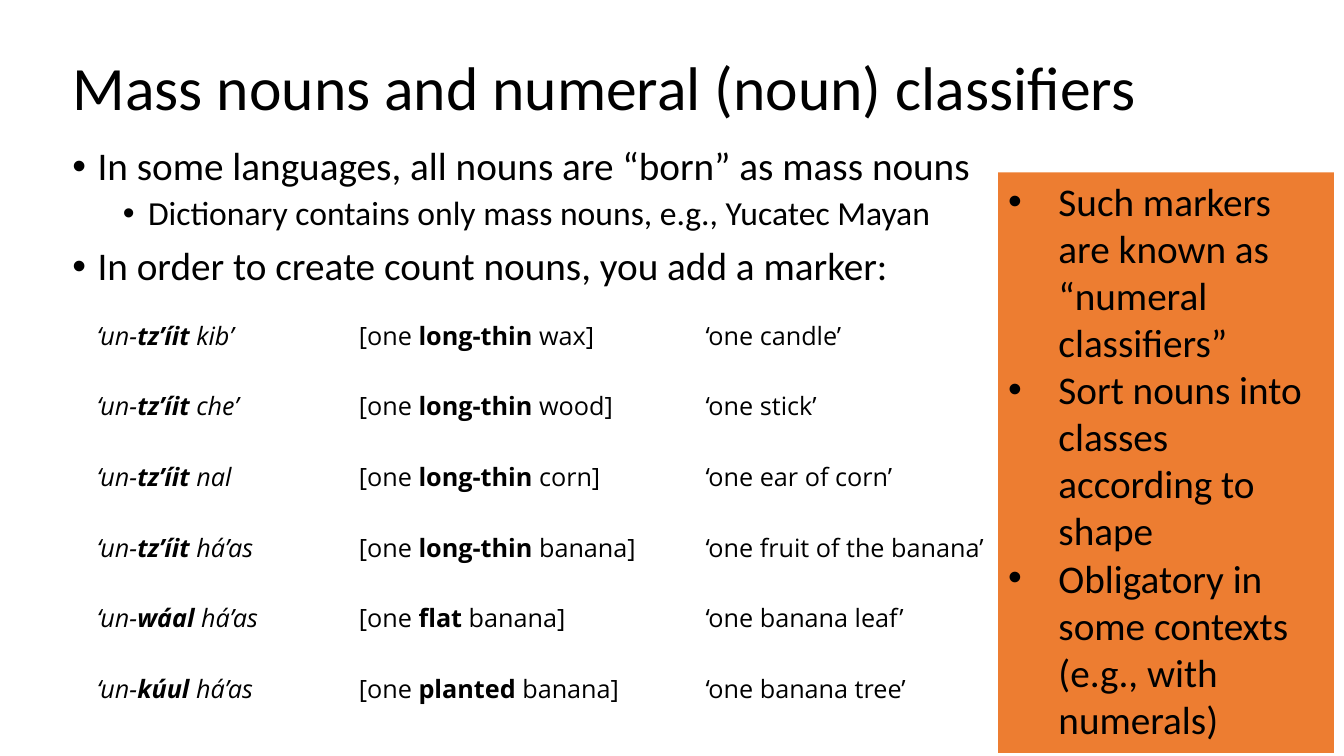
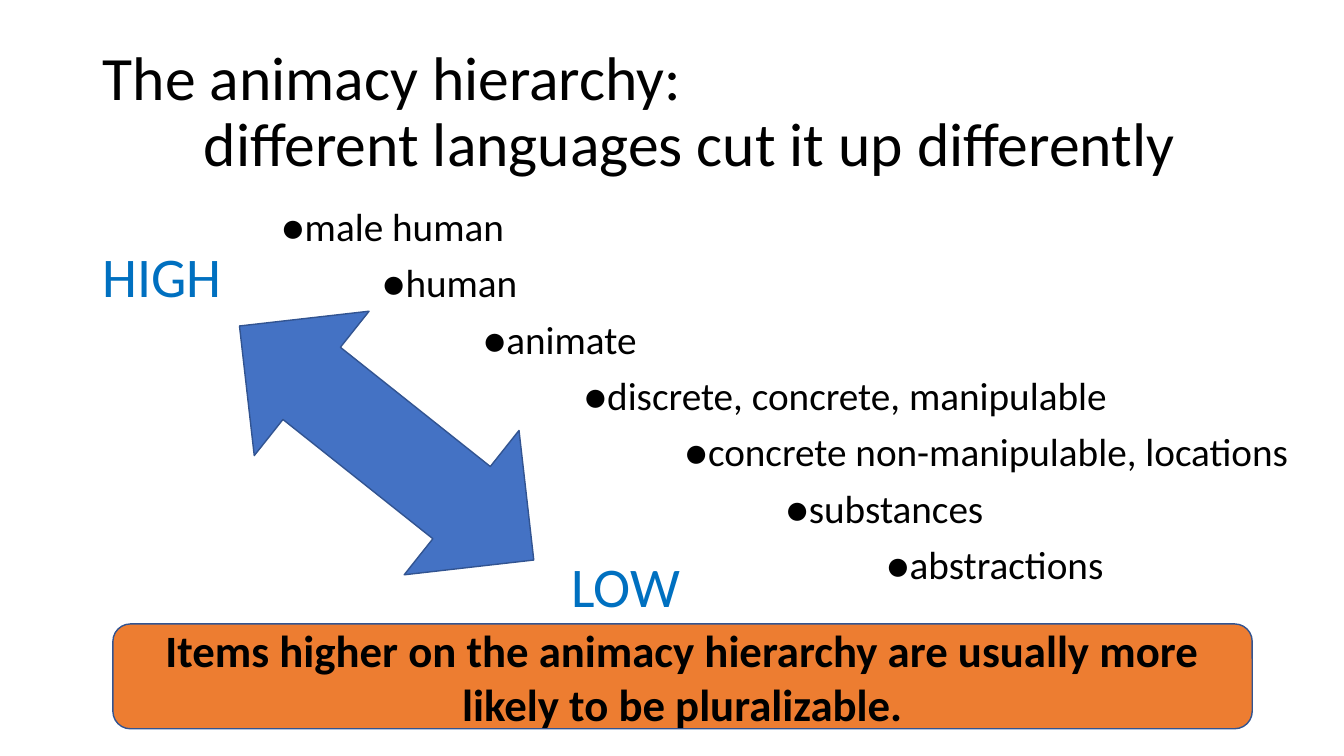
"""Build two slides on noun classifiers and the animacy hierarchy."""
from dataclasses import dataclass
from typing import NamedTuple

from lxml import etree
from pptx import Presentation
from pptx.dml.color import RGBColor
from pptx.enum.shapes import MSO_SHAPE
from pptx.enum.text import MSO_ANCHOR, MSO_AUTO_SIZE, PP_ALIGN
from pptx.oxml.ns import qn
from pptx.util import Emu, Pt

RECT, ROUND_RECT = MSO_SHAPE.RECTANGLE, MSO_SHAPE.ROUNDED_RECTANGLE
ARROW = MSO_SHAPE.UP_DOWN_ARROW
TOP, MIDDLE = MSO_ANCHOR.TOP, MSO_ANCHOR.MIDDLE
LEFT, CENTER = PP_ALIGN.LEFT, PP_ALIGN.CENTER
NO_FIT = MSO_AUTO_SIZE.NONE

EMU_PER_PX = 9144
SLIDE_W, SLIDE_H = 1333, 750
TITLE_ONLY = 5
BLACK, ORANGE, BLUE, OUTLINE, LABEL = "000000", "ED7D31", "4472C4", "325491", "0070C0"
BODY_FONT, TABLE_FONT = "Calibri", "Open Sans"
TITLE_W, TITLE_H = 1150, 145
STEP = 100


class Box(NamedTuple):
    """Left, top, width and height in px."""
    x: int
    y: int
    w: int
    h: int


@dataclass(frozen=True)
class Para:
    """One paragraph with its indents, spacing and bullet."""
    text: str
    size: int = 28
    color: str = BLACK
    bold: bool = False
    align: PP_ALIGN = LEFT
    margin: int = 0
    hang: int = 0
    bullet: bool = False
    line_spacing: float = 1.0
    before: int = 0


@dataclass(frozen=True)
class Example:
    """A Mayan phrase with its marker, gloss and translation."""
    marker: str
    noun: str
    shape: str
    gloss: str
    meaning: str


EXAMPLES = [
    Example("tz’íit", "kib’", "long-thin", "wax", "candle"),
    Example("tz’íit", "che’", "long-thin", "wood", "stick"),
    Example("tz’íit", "nal", "long-thin", "corn", "ear of corn"),
    Example("tz’íit", "há’as", "long-thin", "banana", "fruit of the banana"),
    Example("wáal", "há’as", "flat", "banana", "banana leaf"),
    Example("kúul", "há’as", "planted", "banana", "banana tree"),
]
TABLE_BOX = Box(89, 316, 906, 420)
COLUMN_WIDTHS = (260, 344, 302)
BODY_POINTS = [
    ("In some languages, all nouns are “born” as mass nouns", 0),
    ("Dictionary contains only mass nouns, e.g., Yucatec Mayan", 1),
    ("In order to create count nouns, you add a marker:", 0),
]
MARKER_FACTS = [
    "Such markers are known as “numeral classifiers”",
    "Sort nouns into classes according to shape",
    "Obligatory in some contexts (e.g., with numerals)",
]
HIERARCHY = [
    "male human",
    "human",
    "animate",
    "discrete, concrete, manipulable",
    "concrete non-manipulable, locations",
    "substances",
    "abstractions",
]
END_LABELS = {"HIGH": Box(92, 235, 177, 77), "LOW": Box(557, 542, 177, 77)}


def px(n: int) -> Emu:
    """Turn px into EMU."""
    return Emu(n * EMU_PER_PX)


def rgb(color: str) -> RGBColor:
    """Turn a hex string into a colour."""
    return RGBColor.from_string(color)


def set_attrs(obj, values: dict) -> None:
    """Set each named attribute on an object."""
    for name, value in values.items():
        setattr(obj, name, value)


def add_run(p, text: str, size: int, color: str = BLACK, font: str = BODY_FONT,
            bold: bool = False, italic: bool = False) -> None:
    """Add a formatted run to a paragraph."""
    r = p.add_run()
    r.text = text
    set_attrs(r.font, {"name": font, "size": Pt(size), "bold": bold, "italic": italic})
    r.font.color.rgb = rgb(color)


def write(tf, paras: list[Para], anchor: MSO_ANCHOR = TOP) -> None:
    """Fill a text frame with paragraphs."""
    set_attrs(tf, {"word_wrap": True, "auto_size": NO_FIT, "vertical_anchor": anchor})
    for i, para in enumerate(paras):
        p = tf.add_paragraph() if i else tf.paragraphs[0]
        set_attrs(p, {"alignment": para.align, "line_spacing": para.line_spacing,
                      "space_before": Pt(para.before)})
        pPr = p._p.get_or_add_pPr()
        pPr.set("marL", str(px(para.margin)))
        pPr.set("indent", str(px(-para.hang)))
        if para.bullet:
            etree.SubElement(pPr, qn("a:buFont")).set("typeface", "Arial")
            etree.SubElement(pPr, qn("a:buChar")).set("char", "•")
        for n, line in enumerate(para.text.split("\n")):
            if n:
                p.add_line_break()
            add_run(p, line, para.size, para.color, bold=para.bold)


def add_title_slide(prs, x: int, y: int, text: str):
    """Add a slide and place its title."""
    s = prs.slides.add_slide(prs.slide_layouts[TITLE_ONLY])
    title = s.shapes.title
    set_attrs(title, {"left": px(x), "top": px(y), "width": px(TITLE_W), "height": px(TITLE_H)})
    write(title.text_frame, [Para(text, 44, margin=STEP, hang=STEP, line_spacing=0.9)], MIDDLE)
    return s


def add_text(s, box: Box, paras: list[Para]) -> None:
    """Add a text box."""
    write(s.shapes.add_textbox(*map(px, box)).text_frame, paras)


def add_shape(s, kind: MSO_SHAPE, box: Box, fill: str, line: str = ""):
    """Add a filled shape, outlined if a line colour is given."""
    sp = s.shapes.add_shape(kind, *map(px, box))
    sp.shadow.inherit = False
    sp.fill.solid()
    sp.fill.fore_color.rgb = rgb(fill)
    if line:
        sp.line.color.rgb = rgb(line)
        sp.line.width = Pt(1)
    else:
        sp.line.fill.background()
    return sp


def add_examples(s) -> None:
    """Add the table of marked count nouns."""
    frame = s.shapes.add_table(len(EXAMPLES), len(COLUMN_WIDTHS), *map(px, TABLE_BOX))
    table = frame.table
    set_attrs(table, {"first_row": False, "horz_banding": False})
    for column, width in zip(table.columns, COLUMN_WIDTHS):
        column.width = px(width)
    margins = {"margin_left": px(7), "margin_right": px(7), "margin_top": 0, "margin_bottom": 0}
    for row, ex in zip(table.rows, EXAMPLES):
        parts = (
            ("‘un-", ex.marker, f" {ex.noun}"),
            ("[one ", ex.shape, f" {ex.gloss}]"),
            (f"‘one {ex.meaning}’",),
        )
        for col, (cell, texts) in enumerate(zip(row.cells, parts)):
            cell.fill.background()
            set_attrs(cell, margins)
            for n, text in enumerate(texts):
                add_run(cell.text_frame.paragraphs[0], text, 18, font=TABLE_FONT,
                        bold=n == 1, italic=col == 0)


def build_classifiers(prs) -> None:
    """Build the slide on numeral classifiers."""
    s = add_title_slide(prs, 62, 17, "Mass nouns and numeral (noun) classifiers")
    add_text(s, Box(62, 141, 1150, 165), [
        Para(text, 28 - 4 * level, margin=25 + 50 * level, hang=25, bullet=True,
             line_spacing=0.9, before=10 - 5 * level)
        for text, level in BODY_POINTS
    ])
    add_examples(s)
    panel = add_shape(s, RECT, Box(990, 171, 333, 576), ORANGE)
    write(panel.text_frame, [Para(t, margin=50, hang=50, bullet=True) for t in MARKER_FACTS])


def build_hierarchy(prs) -> None:
    """Build the slide on the animacy hierarchy."""
    s = add_title_slide(prs, 92, 40,
                        "The animacy hierarchy:\ndifferent languages cut it up differently")
    add_text(s, Box(269, 201, 1150, 476), [
        Para(f"●{name}", margin=STEP * i, line_spacing=0.9, before=10)
        for i, name in enumerate(HIERARCHY)
    ])
    arrow = add_shape(s, ARROW, Box(292, 253, 183, 373), BLUE, OUTLINE)
    arrow.rotation = 308.5
    arrow.adjustments[0] = 0.555
    arrow.adjustments[1] = 0.5
    for text, box in END_LABELS.items():
        add_text(s, box, [Para(text, 40, LABEL)])
    banner = add_shape(s, ROUND_RECT, Box(112, 619, 1130, 104), ORANGE, OUTLINE)
    write(banner.text_frame, [Para(
        "Items higher on the animacy hierarchy are usually more likely to be pluralizable.",
        32, bold=True, align=CENTER)], MIDDLE)


def main() -> None:
    """Build and save the presentation."""
    prs = Presentation()
    set_attrs(prs, {"slide_width": px(SLIDE_W), "slide_height": px(SLIDE_H)})
    build_classifiers(prs)
    build_hierarchy(prs)
    prs.save("out.pptx")


if __name__ == "__main__":
    main()
